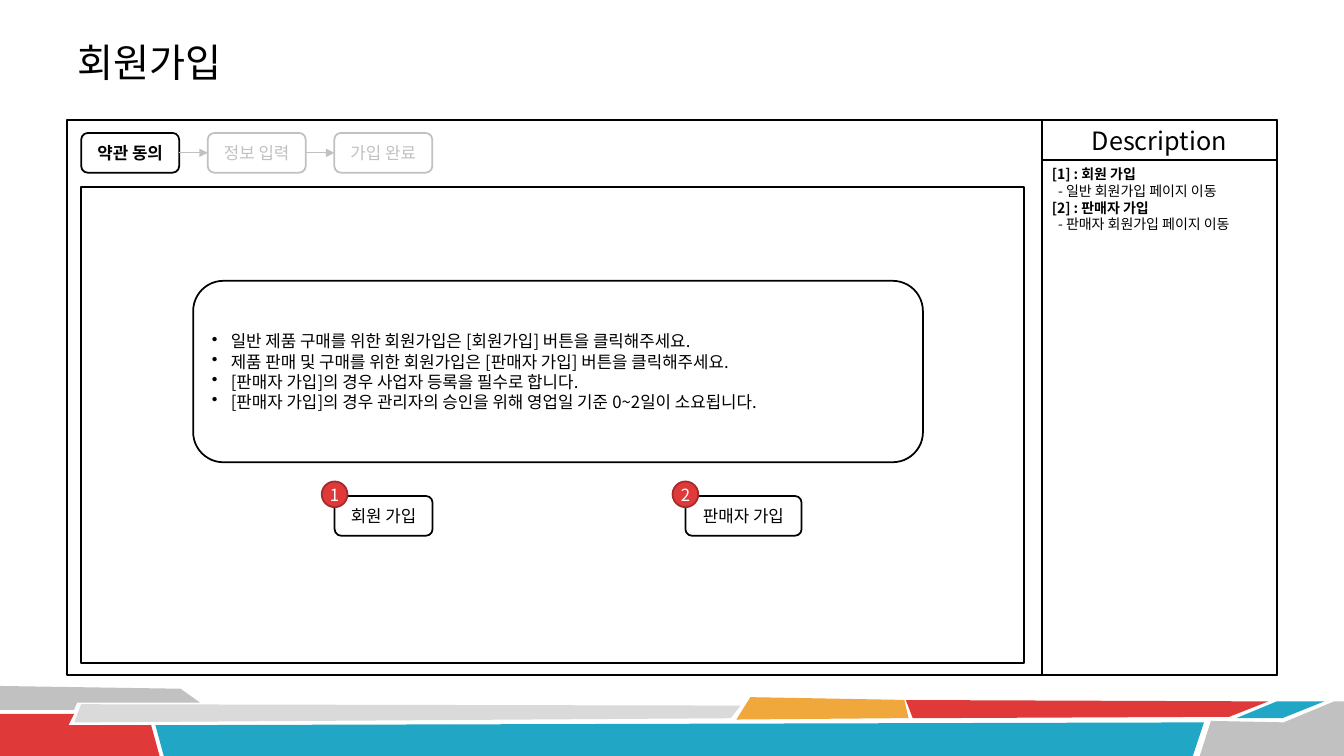
from lxml.etree import SubElement
from pptx import Presentation
from pptx.dml.color import RGBColor
from pptx.enum.shapes import MSO_CONNECTOR, MSO_SHAPE
from pptx.enum.text import MSO_ANCHOR, PP_ALIGN
from pptx.oxml.ns import qn
from pptx.util import Pt

COLORS = {"black": "000000", "white": "FFFFFF", "gray": "C1C1C1", "light": "DADADA",
          "red": "DF3939", "dark_red": "A52A2A", "blue": "21A6C5", "orange": "F0A73C"}
FONT = "Noto Sans CJK KR"
FRIEZE = [
    ("gray", [(0, 0.3), (128.9, 2.5), (143.3, 11.8), (54.7, 11.8), (53.3, 16.9), (0, 16.9)]),
    ("red", [(0, 19.8), (52.6, 19.8), (49, 27.7), (108, 27.7), (114.5, 50), (0, 50)]),
    ("light", [(57.6, 13.3), (529.2, 14), (522, 23.4), (52.6, 25.5)]),
    ("blue", [(110.9, 28.4), (860.4, 25.5), (852.5, 50), (116.6, 50)]),
    ("orange", [(535.7, 8.2), (645.8, 10.4), (648.7, 23.4), (525.6, 24.1)]),
    ("red", [(647.3, 10.4), (906.5, 11.1), (878.4, 21.9), (652.3, 23.4)]),
    ("blue", [(912.2, 11.1), (946.1, 11.1), (915.8, 22.6), (883.4, 22.6)]),
    ("gray", [(864.7, 24.8), (917.3, 25.5), (953.3, 11.1), (960, 11.1), (960, 50), (856.8, 50)]),
]
STEPS = ["약관 동의", "정보 입력", "가입 완료"]
NOTICES = [
    "일반 제품 구매를 위한 회원가입은 [회원가입] 버튼을 클릭해주세요.",
    "제품 판매 및 구매를 위한 회원가입은 [판매자 가입] 버튼을 클릭해주세요.",
    "[판매자 가입]의 경우 사업자 등록을 필수로 합니다.",
    "[판매자 가입]의 경우 관리자의 승인을 위해 영업일 기준 0~2일이 소요됩니다.",
]
BUTTONS = [("1", "회원 가입", 181, 70), ("2", "판매자 가입", 431.6, 83)]
DESCRIPTIONS = [("[1] : 회원 가입", "- 일반 회원가입 페이지 이동"),
                ("[2] : 판매자 가입", "- 판매자 회원가입 페이지 이동")]


def rgb(name):
    """Return the named colour."""
    return RGBColor.from_string(COLORS[name])


def add_box(s, kind, box, fill="white", line="black"):
    """Add an outlined shape in a box of left, top, width and height."""
    sp = s.shapes.add_shape(kind, *map(Pt, box))
    sp.shadow.inherit = False
    if fill:
        sp.fill.solid()
        sp.fill.fore_color.rgb = rgb(fill)
    else:
        sp.fill.background()
    sp.line.color.rgb = rgb(line)
    sp.line.width = Pt(1.25)
    return sp


def style(p, size=12, color="black", bold=False, align=PP_ALIGN.CENTER, font=FONT):
    """Format a whole paragraph."""
    p.alignment = align
    p.font.name = font
    p.font.size = Pt(size)
    p.font.bold = bold
    p.font.color.rgb = rgb(color)


def add_label(s, kind, box, text, fill="white", line="black", **look):
    """Add a shape with one centred line of text."""
    sp = add_box(s, kind, box, fill, line)
    tf = sp.text_frame
    tf.vertical_anchor = MSO_ANCHOR.MIDDLE
    p = tf.paragraphs[0]
    p.text = text
    style(p, **look)
    return sp


def add_lines(sp, texts):
    """Fill a shape with paragraphs and return them."""
    tf = sp.text_frame
    tf.word_wrap = True
    ps = [tf.paragraphs[0]] + [tf.add_paragraph() for _ in texts[1:]]
    for p, text in zip(ps, texts):
        p.text = text
    return ps


def add_arrow(s, start, end):
    """Join the right side of one step to the left side of the next."""
    c = s.shapes.add_connector(MSO_CONNECTOR.STRAIGHT, 0, 0, 0, 0)
    c.begin_connect(start, 3)
    c.end_connect(end, 1)
    c.line.color.rgb = rgb("gray")
    c.line.width = Pt(0.75)
    SubElement(c.line._get_or_add_ln(), qn("a:tailEnd"), type="triangle")
    SubElement(c._element.spPr, qn("a:effectLst"))


def add_frieze(s, left, top):
    """Draw the coloured band along the foot of the slide."""
    for color, points in FRIEZE:
        (x, y), *rest = [(left + x, top + y) for x, y in points]
        builder = s.shapes.build_freeform(x, y, scale=Pt(1))
        builder.add_line_segments(rest, close=True)
        sp = builder.convert_to_shape()
        sp.shadow.inherit = False
        sp.fill.solid()
        sp.fill.fore_color.rgb = rgb(color)
        sp.line.fill.background()


def add_title(s, left, top, width, height):
    """Place and format the slide title."""
    sp = s.shapes.title
    sp.left, sp.top, sp.width, sp.height = map(Pt, (left, top, width, height))
    sp.text_frame.vertical_anchor = MSO_ANCHOR.MIDDLE
    p = sp.text_frame.paragraphs[0]
    p.text = "회원가입"
    style(p, 28, align=PP_ALIGN.LEFT, font="Calibri")


def add_description(s, left, top, width, height):
    """Draw the description column with its heading."""
    head = 28.8
    sp = add_box(s, MSO_SHAPE.RECTANGLE, (left, top + head, width, height - head), None)
    sp.text_frame.vertical_anchor = MSO_ANCHOR.TOP
    ps = add_lines(sp, [text for pair in DESCRIPTIONS for text in pair])
    for i, p in enumerate(ps):
        detail = i % 2 == 1
        style(p, 10, bold=not detail, align=PP_ALIGN.LEFT)
        if detail:
            p._p.get_or_add_pPr().set("marL", str(Pt(4.5)))
    add_label(s, MSO_SHAPE.RECTANGLE, (left, top, width, head), "Description", None, size=18)


def add_steps(s, left, top, width, height, pitch):
    """Draw the sign-up steps, the first one active, joined by arrows."""
    steps = []
    for i, text in enumerate(STEPS):
        color = "gray" if i else "black"
        steps.append(add_label(s, MSO_SHAPE.ROUNDED_RECTANGLE,
                               (left + i * pitch, top, width, height), text,
                               line=color, color=color, bold=i == 0))
    for start, end in zip(steps, steps[1:]):
        add_arrow(s, start, end)


def add_notice(s, left, top, width, height):
    """Draw the rounded panel of bulleted notices."""
    sp = add_box(s, MSO_SHAPE.ROUNDED_RECTANGLE, (left, top, width, height))
    sp.text_frame.vertical_anchor = MSO_ANCHOR.MIDDLE
    for p in add_lines(sp, NOTICES):
        style(p, align=PP_ALIGN.LEFT)
        pPr = p._p.get_or_add_pPr()
        pPr.set("marL", str(Pt(13.5)))
        pPr.set("indent", str(-Pt(13.5)))
        bullet = pPr.makeelement(qn("a:buChar"), {"char": "•"})
        pPr.insert(0, bullet)


def add_button(s, left, top, width, height, number, text):
    """Draw a button with a numbered badge on its top left corner."""
    add_label(s, MSO_SHAPE.ROUNDED_RECTANGLE, (left, top, width, height), text)
    d = 18.4
    sp = add_label(s, MSO_SHAPE.OVAL, (left - d / 2, top - 10.4, d, d), number,
                   "red", "dark_red", color="white")
    tf = sp.text_frame
    tf.margin_left = tf.margin_top = tf.margin_right = tf.margin_bottom = 0


def add_page(s, left, top, width, height):
    """Draw the sign-up page inside its frame."""
    add_box(s, MSO_SHAPE.RECTANGLE, (left, top, width, height), None)
    add_notice(s, left + 80, top + 67, 521.3, 129.6)
    for number, text, x, w in BUTTONS:
        add_button(s, left + x, top + 220.7, w, 28.4, number, text)


def main():
    """Build and save the slide."""
    prs = Presentation()
    prs.slide_width, prs.slide_height = Pt(960), Pt(540)
    s = prs.slides.add_slide(prs.slide_layouts[5])
    left, top, width, height = 48, 85.8, 864, 396.4
    add_frieze(s, 0, 490)
    add_title(s, left, 22.2, width, 44)
    add_box(s, MSO_SHAPE.RECTANGLE, (left, top, width, height))
    add_description(s, left + 696.2, top, 167.8, height)
    add_steps(s, left + 10, top + 9.2, 70, 28.4, 90.4)
    add_page(s, left + 10, top + 47.8, 673.4, 339.8)
    prs.save("out.pptx")


if __name__ == "__main__":
    main()
